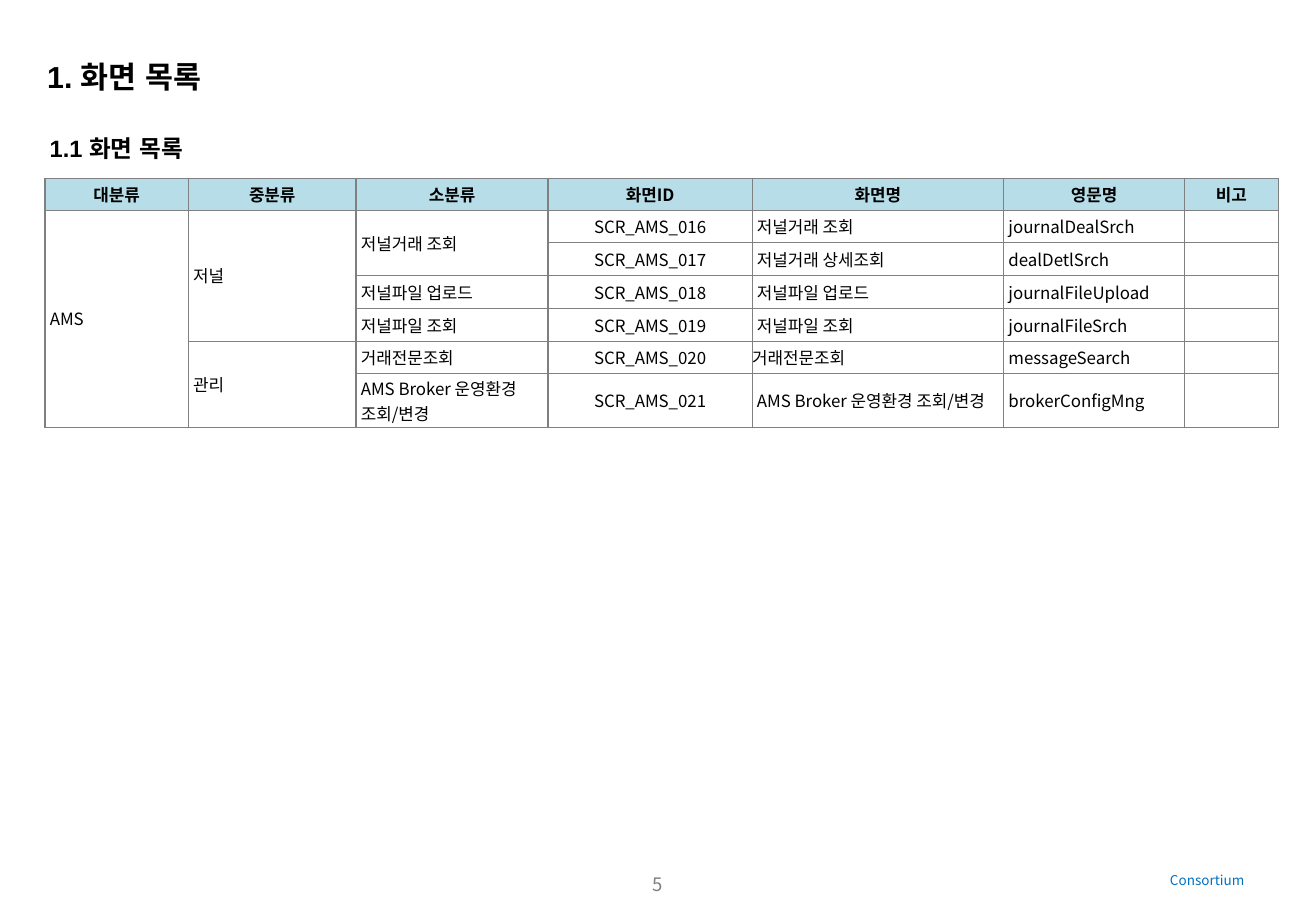
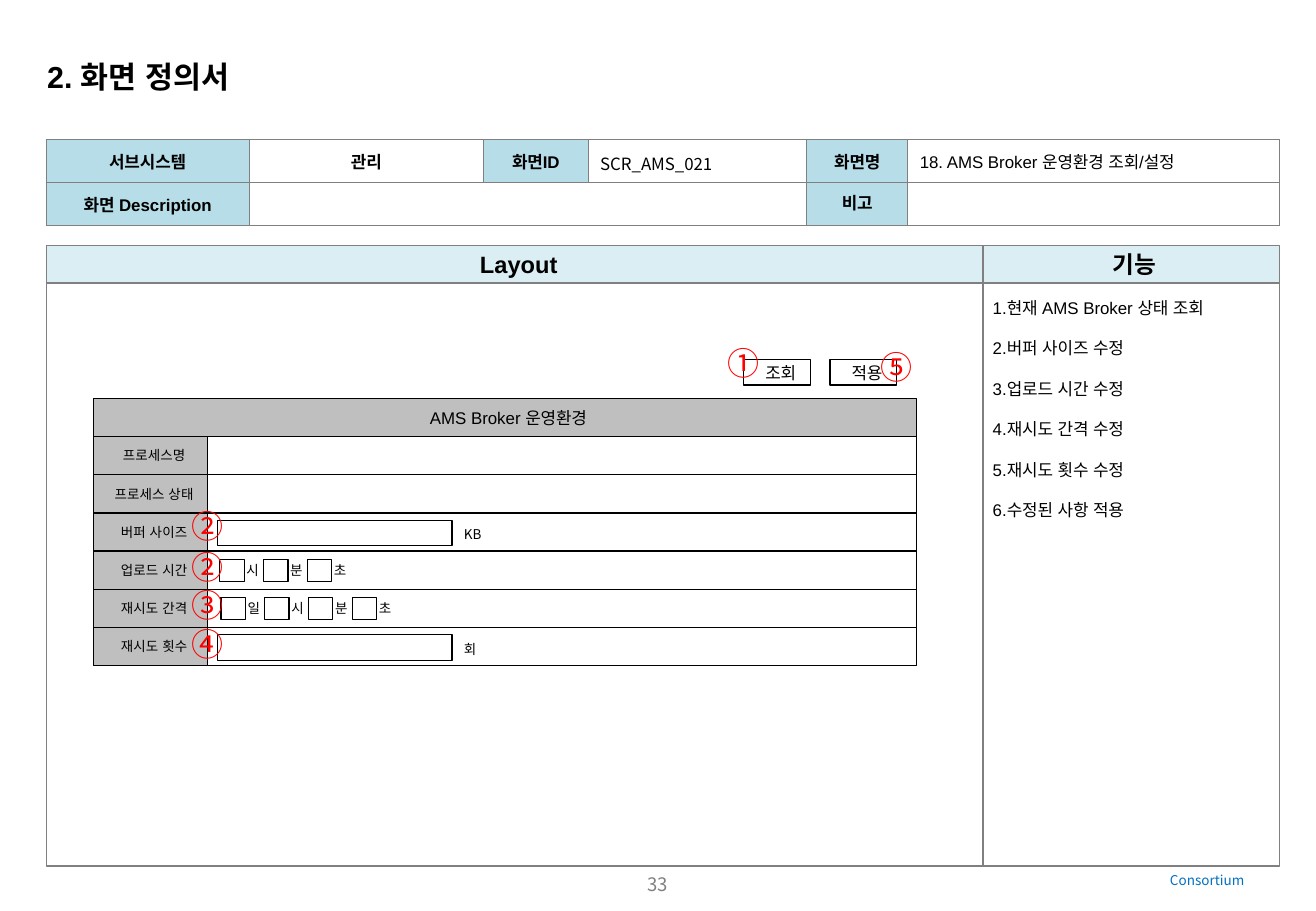
from dataclasses import dataclass

from lxml import etree
from pptx import Presentation
from pptx import util as u
from pptx.dml.color import RGBColor
from pptx.enum import shapes, text
from pptx.oxml import ns

# Shared look
SANS, ARIAL = "Noto Sans CJK KR", "Arial"
BLACK, WHITE, GRAY, RED, BLUE = "000000", "FFFFFF", "808080", "FF0000", "0070C0"
HEAD, PALE, LABEL = "B7DEE8", "DBEEF4", "BFBFBF"
LEFT, CENTER = text.PP_ALIGN.LEFT, text.PP_ALIGN.CENTER
MIDDLE, TOP = text.MSO_ANCHOR.MIDDLE, text.MSO_ANCHOR.TOP


@dataclass(frozen=True)
class Style:
    size: float = 10
    font: str = SANS
    color: str = BLACK
    bold: bool = False
    align: int = LEFT
    before: float = 0
    after: float = 0
    spacing: float | u.Length | None = None


@dataclass(frozen=True)
class Cell:
    words: str = ""
    style: Style = Style()
    fill: str = WHITE
    margin: float = 0.04
    rows: int = 1
    columns: int = 1


@dataclass(frozen=True)
class FormRow:
    label: str
    field_left: float = 0
    unit: str = ""
    small_units: str = ""


def rgb(color: str) -> RGBColor:
    return RGBColor.from_string(color)


def set_all(target, values: dict) -> None:
    for name, value in values.items():
        setattr(target, name, value)


def write(paragraph, words: str, style: Style) -> None:
    set_all(paragraph, {
        "alignment": style.align, "line_spacing": style.spacing,
        "space_before": u.Pt(style.before), "space_after": u.Pt(style.after)})
    if not words:
        etree.SubElement(paragraph._p, ns.qn("a:endParaRPr"), sz=str(int(style.size * 100)))
        return
    run = paragraph.add_run()
    run.text = words
    set_all(run.font, {"size": u.Pt(style.size), "name": style.font, "bold": style.bold})
    run.font.color.rgb = rgb(style.color)
    etree.SubElement(run._r.get_or_add_rPr(), ns.qn("a:ea"), typeface=style.font)


def fill_frame(frame, lines: list[str], style: Style, margins: tuple, anchor) -> None:
    names = ("margin_left", "margin_top", "margin_right", "margin_bottom")
    set_all(frame, {name: u.Inches(value) for name, value in zip(names, margins)})
    set_all(frame, {"word_wrap": True, "vertical_anchor": anchor})
    for index, line in enumerate(lines):
        write(frame.add_paragraph() if index else frame.paragraphs[0], line, style)


def add_text(slide, left: float, top: float, width: float, height: float,
             words: str, style: Style) -> None:
    box = slide.shapes.add_textbox(*map(u.Inches, (left, top, width, height)))
    fill_frame(box.text_frame, [words], style, (0.1, 0.05, 0.1, 0.05), TOP)


def add_box(slide, left: float, top: float, width: float, height: float,
            fill: str = WHITE, line: str = BLACK, lines: list[str] | None = None,
            style: Style = Style(), margins: tuple = (0.1, 0.02, 0.04, 0.02),
            anchor=MIDDLE) -> None:
    shape = slide.shapes.add_shape(shapes.MSO_SHAPE.RECTANGLE,
                                   *map(u.Inches, (left, top, width, height)))
    shape.shadow.inherit = False
    shape.fill.solid()
    shape.fill.fore_color.rgb = rgb(fill)
    shape.line.color.rgb = rgb(line)
    shape.line.width = u.Pt(0.75)
    if lines:
        fill_frame(shape.text_frame, lines, style, margins, anchor)


def add_borders(cell) -> None:
    properties = cell._tc.get_or_add_tcPr()
    for index, side in enumerate(("a:lnL", "a:lnR", "a:lnT", "a:lnB")):
        line = etree.Element(ns.qn(side), w=str(u.Pt(0.75)))
        fill = etree.SubElement(line, ns.qn("a:solidFill"))
        etree.SubElement(fill, ns.qn("a:srgbClr"), val=GRAY)
        properties.insert(index, line)


def add_grid(slide, left: float, top: float, widths: list[float], heights: list[float],
             cells: list[list[Cell | None]]) -> None:
    """None marks a cell covered by a merge."""
    frame = slide.shapes.add_table(len(heights), len(widths), *map(
        u.Inches, (left, top, sum(widths), sum(heights))))
    table = frame.table
    set_all(table, {"first_row": False, "horz_banding": False})
    for column, width in zip(table.columns, widths):
        column.width = u.Inches(width)
    for row, height in zip(table.rows, heights):
        row.height = u.Inches(height)
    for r, row_cells in enumerate(cells):
        for c, content in enumerate(row_cells):
            item = content or Cell()
            cell = table.cell(r, c)
            names = ("margin_left", "margin_right", "margin_top", "margin_bottom")
            sides = (item.margin, item.margin, 0, 0)
            set_all(cell, {name: u.Inches(side) for name, side in zip(names, sides)})
            cell.vertical_anchor = MIDDLE
            cell.fill.solid()
            cell.fill.fore_color.rgb = rgb(item.fill)
            add_borders(cell)
            write(cell.text_frame.paragraphs[0], item.words, item.style)
            if item.rows * item.columns > 1:
                cell.merge(table.cell(r + item.rows - 1, c + item.columns - 1))


def start_slide(presentation, title: str, page: str):
    slide = presentation.slides.add_slide(presentation.slide_layouts[6])
    add_text(slide, 9.53, 7.13, 1.02, 0.24, "Consortium", Style(8, color=BLUE))
    add_text(slide, 3.96, 7.14, 2.91, 0.32, page, Style(11, color=GRAY, align=CENTER))
    add_text(slide, 0.29, 0.43, 2.37, 0.4, title, Style(18, ARIAL, bold=True))
    return slide


def build_screen_list(presentation) -> None:
    slide = start_slide(presentation, "1. 화면 목록", "5")
    add_text(slide, 0.31, 1.05, 1.81, 0.34, "1.1 화면 목록", Style(14, ARIAL, bold=True))

    plain, spaced = Style(), Style(before=2)
    head = Style(bold=True, align=CENTER, before=2)
    titles = ["대분류", "중분류", "소분류", "화면ID", "화면명", "영문명", "비고"]
    cells = [[Cell(title, head, HEAD, 0.1) for title in titles]]

    # Screens: subcategory, name, English name
    broker = "AMS Broker 운영환경 조회/변경"
    screens = [
        (Cell("저널거래 조회", spaced, rows=2), "저널거래 조회", "journalDealSrch"),
        (None, "저널거래 상세조회", "dealDetlSrch"),
        (Cell("저널파일 업로드", spaced), "저널파일 업로드", "journalFileUpload"),
        (Cell("저널파일 조회", spaced), "저널파일 조회", "journalFileSrch"),
        (Cell("거래전문조회", plain), "거래전문조회", "messageSearch"),
        (Cell(broker, spaced), broker, "brokerConfigMng"),
    ]
    groups = {0: Cell("저널", plain, rows=4), 4: Cell("관리", plain, rows=2)}
    for index, (subcategory, name, english) in enumerate(screens):
        flush = name == "거래전문조회"
        id_style = Style(align=CENTER, before=2 if flush else 0)
        cells.append([
            Cell("AMS", plain, rows=6) if index == 0 else None,
            groups.get(index),
            subcategory,
            Cell(f"SCR_AMS_{16 + index:03}", id_style, margin=0),
            Cell(name, plain if flush else spaced, margin=0 if flush else 0.04),
            Cell(english, spaced),
            Cell(),
        ])
    add_grid(slide, 0.37, 1.47, [1.18, 1.38, 1.58, 1.68, 2.07, 1.49, 0.77],
             [0.26] + [0.27] * 5 + [0.44], cells)


def add_summary(slide) -> None:
    around = {"before": 3, "after": 3, "spacing": 1.2}
    head = Style(font=ARIAL, bold=True, align=CENTER, **around)

    def label(words: str, style: Style = head) -> Cell:
        return Cell(words, style, HEAD, 0.1)

    cells = [
        [label("서브시스템"), Cell("관리", head, margin=0.1),
         label("화면ID"), Cell("SCR_AMS_021", Style(**around), margin=0.1),
         label("화면명"),
         Cell("18. AMS Broker 운영환경 조회/설정", Style(font=ARIAL, **around), margin=0.1)],
        [label("화면 Description"), Cell(columns=3), None, None,
         label("비고", Style(font=ARIAL, bold=True, align=CENTER)), Cell()],
    ]
    add_grid(slide, 0.38, 1.15, [1.67, 1.93, 0.86, 1.8, 0.83, 3.06], [0.35, 0.36], cells)


def add_form(slide) -> None:
    left, top, bottom, width, label_width = 0.77, 3.28, 5.48, 6.77, 0.94
    caption = Style(font=ARIAL, align=CENTER)
    label, unit = Style(8, ARIAL, align=CENTER), Style(8)

    # Rows with one wide field or several small ones
    rows = [FormRow("프로세스명"), FormRow("프로세스 상태"),
            FormRow("버퍼 사이즈", 1.79, unit="KB"),
            FormRow("업로드 시간", 1.81, small_units="시분초"),
            FormRow("재시도 간격", 1.82, small_units="일시분초"),
            FormRow("재시도 횟수", 1.79, unit="회")]
    pitch = (bottom - top) / (len(rows) + 1)

    # Buttons and heading
    for button_left, words in ((6.12, "조회"), (6.83, "적용")):
        add_box(slide, button_left, 2.96, 0.55, 0.21, lines=[words], style=caption)
    add_box(slide, left, top, width, pitch, LABEL,
            lines=["AMS Broker 운영환경"], style=caption)

    for index, row in enumerate(rows, start=1):
        y = top + index * pitch
        add_box(slide, left, y, width, pitch)
        add_box(slide, left, y, label_width, pitch, LABEL, lines=[row.label], style=label)
        if row.unit:
            add_box(slide, row.field_left, y + 0.06, 1.93, 0.21)
            add_text(slide, 3.72, y + 0.06, 1.14, 0.24, row.unit, unit)
        for position, words in enumerate(row.small_units):
            x = row.field_left + position * 0.36
            add_box(slide, x, y + 0.07, 0.2, 0.18)
            add_text(slide, x + 0.12, y + 0.04, 0.31, 0.24, words, unit)


def build_screen_definition(presentation) -> None:
    slide = start_slide(presentation, "2. 화면 정의서", "33")
    add_summary(slide)

    # Layout and function panels
    functions = ["1.현재 AMS Broker 상태 조회", "2.버퍼 사이즈 수정", "3.업로드 시간 수정",
                 "4.재시도 간격 수정", "5.재시도 횟수 수정", "6.수정된 사항 적용"]
    heading = Style(14, ARIAL, bold=True, align=CENTER)
    listing = Style(font=ARIAL, after=12, spacing=u.Pt(12))
    for left, width, title, lines in ((0.38, 7.72, "Layout", None),
                                      (8.09, 2.44, "기능", functions)):
        add_box(slide, left, 2.33, width, 4.8, line=GRAY, lines=lines, style=listing,
                margins=(0.08, 0.12, 0.08, 0.08), anchor=TOP)
        add_box(slide, left, 2.02, width, 0.31, PALE, GRAY, [title], heading)

    add_form(slide)

    # Numbered markers
    markers = [(5.89, 2.78, "①"), (1.48, 4.12, "②"), (1.48, 4.46, "②"),
               (1.48, 4.77, "③"), (1.48, 5.09, "④"), (7.15, 2.81, "⑤")]
    for left, top, number in markers:
        add_text(slide, left, top, 0.47, 0.42, number, Style(19, color=RED))


def main() -> None:
    presentation = Presentation()
    set_all(presentation, {"slide_width": u.Inches(10.83), "slide_height": u.Inches(7.5)})
    build_screen_list(presentation)
    build_screen_definition(presentation)
    presentation.save("out.pptx")


if __name__ == "__main__":
    main()
